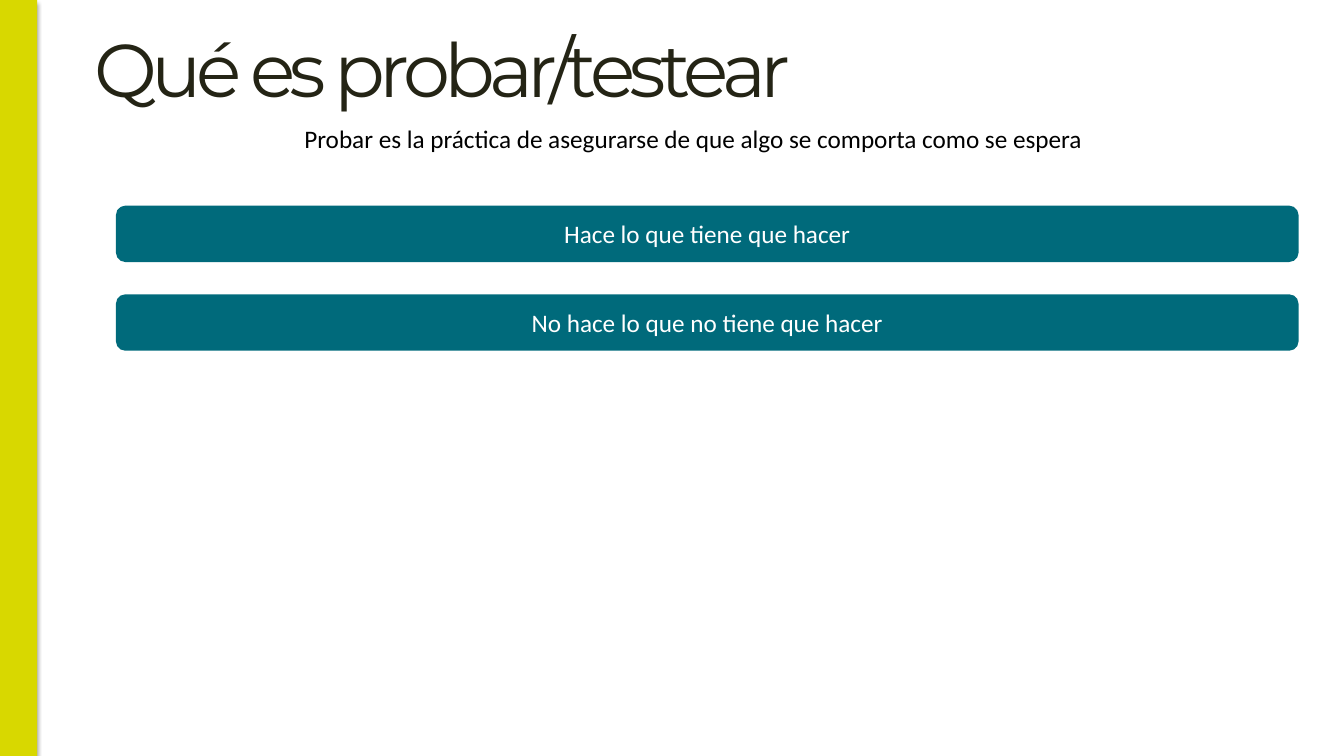
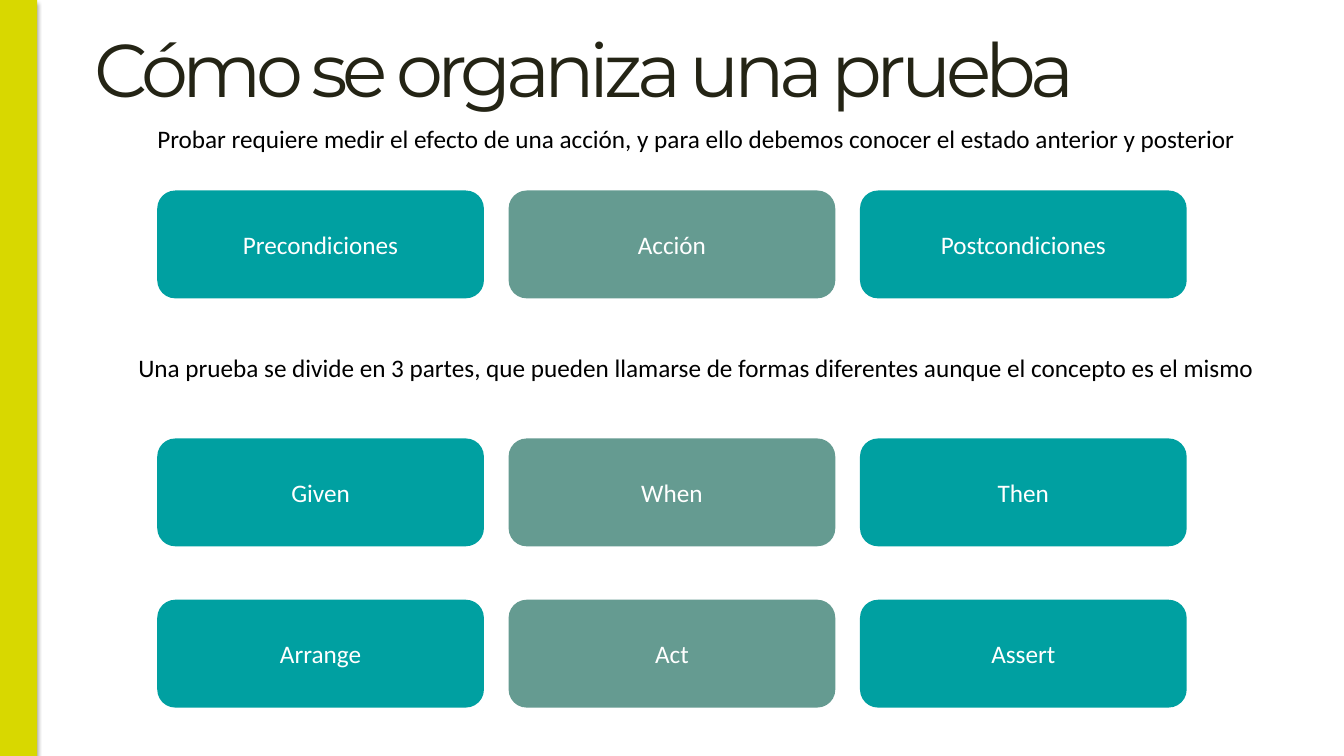
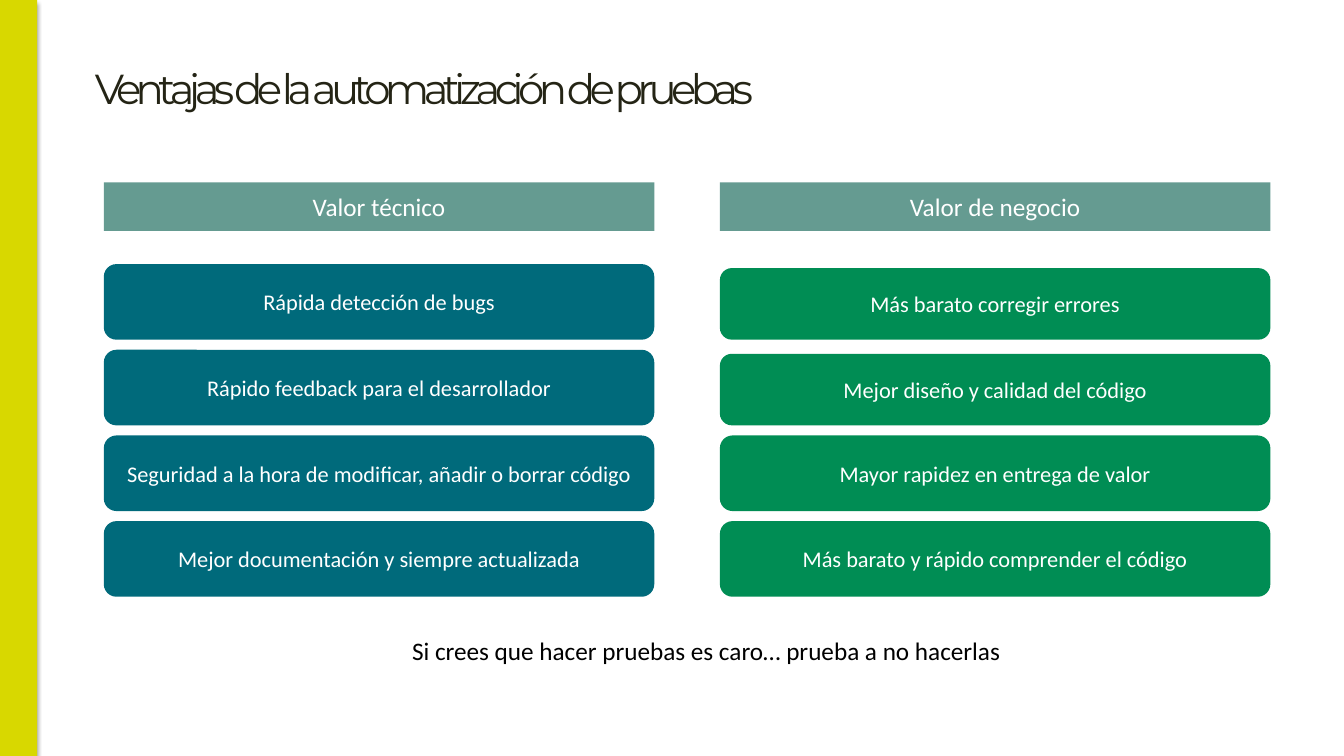
"""Builds three slides on software testing: what it is, how a test is organised, and why to automate."""
from lxml import etree
from pptx import Presentation
from pptx.dml.color import RGBColor
from pptx.enum import shapes, text
from pptx.oxml import ns
from pptx.util import Inches, Pt

COLORS = {
    "ink": "242415", "black": "000000", "white": "FFFFFF", "band": "D8D800",
    "petrol": "006A7B", "teal": "00A0A1", "sage": "659B91", "green": "008D54",
}
RECT = shapes.MSO_SHAPE.RECTANGLE
ROUNDED = shapes.MSO_SHAPE.ROUNDED_RECTANGLE

deck = Presentation()
deck.slide_width, deck.slide_height = Inches(13.33), Inches(7.5)


def start_slide(heading, size):
    slide = deck.slides.add_slide(deck.slide_layouts[5])
    title = slide.shapes.title
    title.left, title.top, title.width, title.height = Inches(0.94), Inches(0), Inches(12.02), Inches(1.18)
    frame = title.text_frame
    frame.text = heading
    frame.auto_size = text.MSO_AUTO_SIZE.NONE
    frame.vertical_anchor = text.MSO_ANCHOR.BOTTOM
    frame.margin_left = Inches(0)
    line = frame.paragraphs[0]
    line.alignment, line.line_spacing = text.PP_ALIGN.LEFT, 0.9
    line.font.name, line.font.size = "Montserrat", Pt(size)
    line.font.color.rgb = RGBColor.from_string(COLORS["ink"])
    line.runs[0].font._element.set("spc", "-400")

    band = add_block(slide, "", 0, 0, 0.37, 7.5, "band", kind=RECT)
    effects = band._element.spPr.find(ns.qn("a:effectLst"))
    shadow = etree.SubElement(effects, ns.qn("a:outerShdw"), blurRad="40000", dist="23000",
                              dir="5400000", rotWithShape="0")
    shade = etree.SubElement(shadow, ns.qn("a:srgbClr"), val=COLORS["black"])
    etree.SubElement(shade, ns.qn("a:alpha"), val="35000")
    return slide


def add_block(slide, words, left, top, width, height, fill=None, size=18, kind=ROUNDED):
    place = Inches(left), Inches(top), Inches(width), Inches(height)
    if fill:
        block = slide.shapes.add_shape(kind, *place)
        block.shadow.inherit = False
        block.fill.solid()
        block.fill.fore_color.rgb = RGBColor.from_string(COLORS[fill])
        block.line.fill.background()
        block.text_frame.vertical_anchor = text.MSO_ANCHOR.MIDDLE
    else:
        block = slide.shapes.add_textbox(*place)
    block.text_frame.word_wrap = True
    if words:
        block.text_frame.text = words
        line = block.text_frame.paragraphs[0]
        line.alignment = text.PP_ALIGN.CENTER
        line.font.name, line.font.size = "Calibri", Pt(size)
        line.font.color.rgb = RGBColor.from_string(COLORS["white" if fill else "black"])
    return block


definition = start_slide("Qué es probar/testear", 53.4)
add_block(definition, "Probar es la práctica de asegurarse de que algo se comporta como se espera ",
          0.94, 1.17, 11.93, 0.4)
for row, goal in enumerate(["Hace lo que tiene que hacer", "No hace lo que no tiene que hacer"]):
    add_block(definition, goal, 1.15, 2.04 + 0.88 * row, 11.73, 0.56, "petrol")

organization = start_slide("Cómo se organiza una prueba", 53.4)
captions = {
    1.17: "Probar requiere medir el efecto de una acción, y para ello debemos conocer el estado anterior y posterior",
    3.45: "Una prueba se divide en 3 partes, que pueden llamarse de formas diferentes aunque el concepto es el mismo",
}
for top, caption in captions.items():
    add_block(organization, caption, 0.94, top, 11.93, 0.7)
phases = {
    1.89: ["Precondiciones", "Acción", "Postcondiciones"],
    4.35: ["Given", "When", "Then"],
    5.95: ["Arrange", "Act", "Assert"],
}
for top, names in phases.items():
    for column, (name, fill) in enumerate(zip(names, ["teal", "sage", "teal"])):
        add_block(organization, name, 1.56 + 3.485 * column, top, 3.24, 1.07, fill)

advantages = start_slide("Ventajas de la automatización de pruebas", 29.9)
values = [
    ("Valor técnico", 1.03, "petrol", [0, 0, 0, 0], [
        "Rápida detección de bugs",
        "Rápido feedback para el desarrollador",
        "Seguridad a la hora de modificar, añadir o borrar código",
        "Mejor documentación y siempre actualizada"]),
    ("Valor de negocio", 7.14, "green", [0.04, 0.04, 0, 0], [
        "Más barato corregir errores",
        "Mejor diseño y calidad del código",
        "Mayor rapidez en entrega de valor",
        "Más barato y rápido comprender el código"]),
]
for value, left, fill, trims, benefits in values:
    add_block(advantages, value, left, 1.81, 5.46, 0.48, "sage", kind=RECT)
    for row, (benefit, trim) in enumerate(zip(benefits, trims)):
        add_block(advantages, benefit, left, 2.62 + 0.85 * row + trim, 5.46, 0.75 - trim, fill, size=16)
add_block(advantages, "Si crees que hacer pruebas es caro… prueba a no hacerlas", 1.04, 6.25, 11.93, 0.4)

deck.save("out.pptx")
